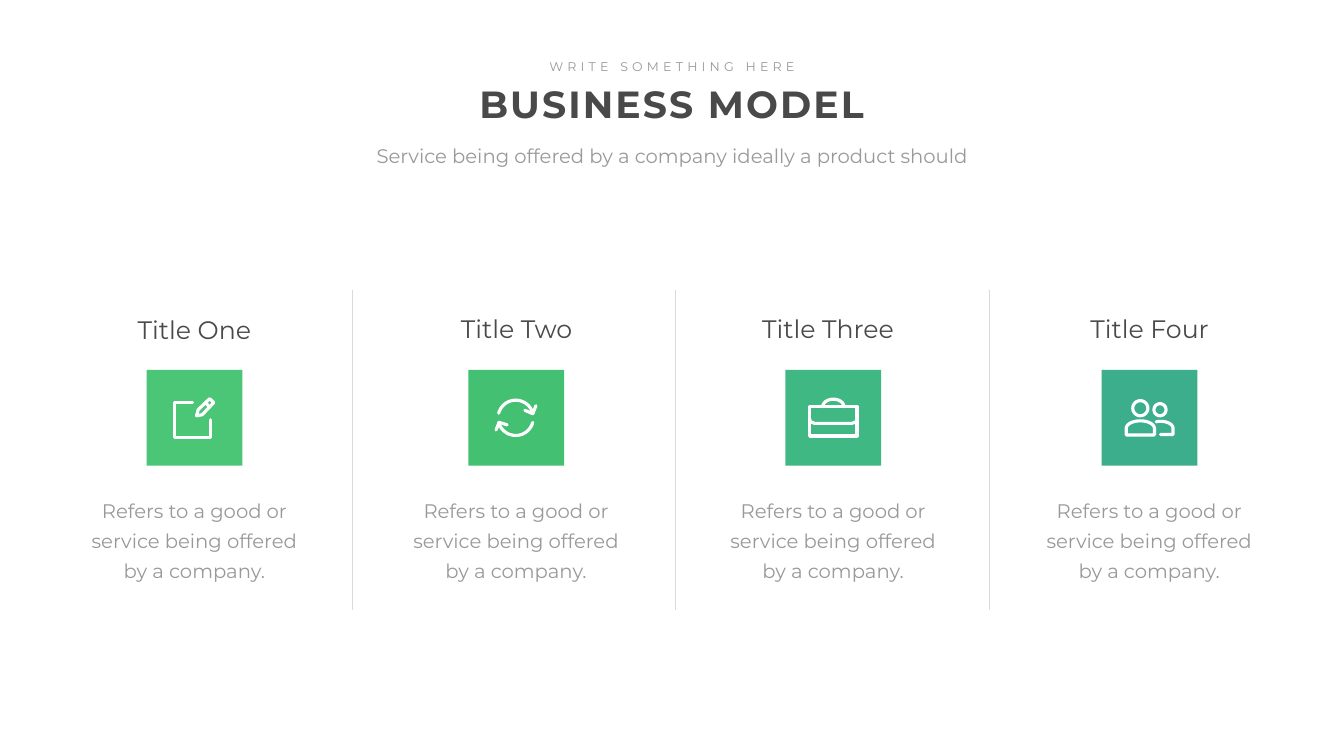
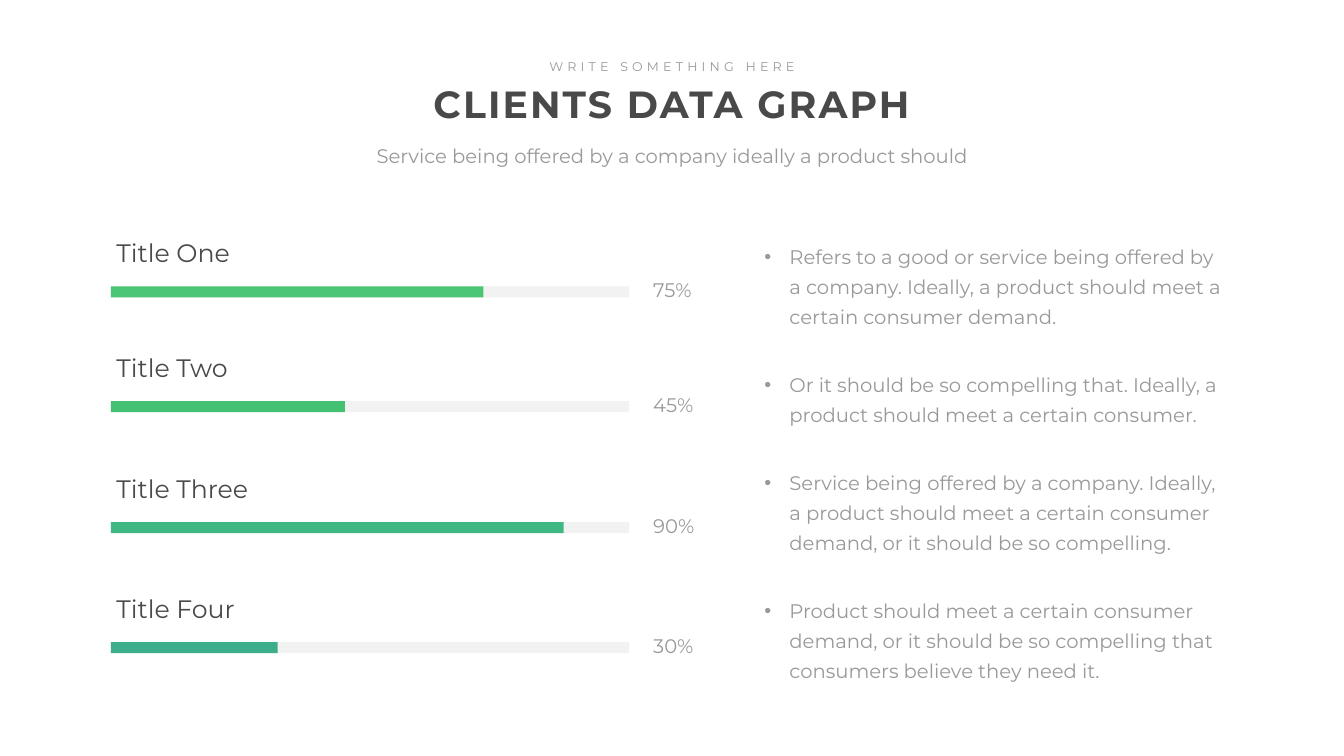
from math import cos, radians, sin

from lxml.etree import SubElement
from pptx import Presentation
from pptx.dml.color import RGBColor
from pptx.enum.shapes import MSO_CONNECTOR, MSO_SHAPE
from pptx.enum.text import MSO_ANCHOR, MSO_AUTO_SIZE, PP_ALIGN
from pptx.oxml.ns import qn
from pptx.util import Pt

PX = 9144  # 100 px to the inch
FONT = "Montserrat"
COLORS = {
    "dark": "494949", "grey": "999999", "rule": "D9D9D9", "track": "F2F2F2", "white": "FFFFFF",
    "green 1": "4BC676", "green 2": "43C072", "green 3": "40B884", "green 4": "3CAE8C",
}
GREENS = ["green 1", "green 2", "green 3", "green 4"]
NAMES = ["Title One", "Title Two", "Title Three", "Title Four"]


def write(box, frame, lines, size, color, align=PP_ALIGN.LEFT, bold=False, tracking=0,
          roomy=False, bullets=False, wrap=True):
    """Place a text shape and fill it with evenly formatted paragraphs."""
    box.left, box.top, box.width, box.height = [value * PX for value in frame]
    text = box.text_frame
    text.text = "\n".join(lines)
    text.word_wrap = wrap
    text.auto_size = MSO_AUTO_SIZE.SHAPE_TO_FIT_TEXT
    text.vertical_anchor = MSO_ANCHOR.TOP
    text.margin_left = text.margin_right = (24 if roomy else 10) * PX
    text.margin_top = text.margin_bottom = (12 if roomy else 5) * PX
    for number, para in enumerate(text.paragraphs):
        if bullets:
            properties = para._p.get_or_add_pPr()
            properties.set("marL", str(50 * PX))
            properties.set("indent", str(-50 * PX))
            SubElement(properties, qn("a:buChar")).set("char", "•")
        para.alignment = align
        para.space_before = Pt(54 if number else 0)
        para.line_spacing = Pt(43) if roomy else 1.0
        para.font.name = FONT
        para.font.size = Pt(size)
        para.font.bold = bold
        para.font.color.rgb = RGBColor.from_string(COLORS[color])
        if tracking:
            for span in para.runs:
                span._r.get_or_add_rPr().set("spc", str(tracking * 100))


def arc(center_x, center_y, radius_x, radius_y, start, end):
    """Points along an elliptical arc, clockwise, angles in degrees."""
    angles = [radians(start + (end - start) * step / 24) for step in range(25)]
    return [(center_x + radius_x * cos(a), center_y + radius_y * sin(a)) for a in angles]


deck = Presentation()
deck.slide_width, deck.slide_height = 2666 * PX, 1500 * PX
model_slide = deck.slides.add_slide(deck.slide_layouts[5])
graph_slide = deck.slides.add_slide(deck.slide_layouts[1])

# Shared heading
for slide, heading in [(model_slide, "BUSINESS MODEL"), (graph_slide, "CLIENTS DATA GRAPH")]:
    write(slide.shapes.title, (728, 155, 1209, 101), [heading], 54, "dark",
          PP_ALIGN.CENTER, bold=True, tracking=3)
    write(slide.shapes.add_textbox(0, 0, 0, 0), (1074, 112, 518, 40), ["WRITE SOMETHING HERE"],
          18, "grey", PP_ALIGN.CENTER, tracking=6, wrap=False)
    write(slide.shapes.add_textbox(0, 0, 0, 0), (676, 260, 1314, 79),
          ["Service being offered by a company ideally a product should"],
          28, "grey", PP_ALIGN.CENTER, roomy=True)

# Icon strokes: points from the tile corner, and whether the stroke closes
edit_icon = [
    ([(91, 64), (56, 64), (56, 134), (126, 134), (126, 99)], False),
    ([(125, 57), (133, 65), (110, 89), (99, 91), (102, 79)], True),
    ([(119, 67), (123, 72)], False),
]
cycle_icon = [
    (arc(94, 95, 35, 35, 195, 345), False),
    ([(112, 80), (128, 87), (134, 71)], False),
    (arc(94, 95, 35, 35, 15, 165), False),
    ([(55, 119), (61, 104), (77, 109)], False),
]
briefcase_icon = [
    ([(48, 73), (142, 73), (142, 131), (48, 131)], True),
    ([(48, 97), (50, 103), (58, 106), (132, 106), (140, 103), (142, 97)], False),
    (arc(95, 73, 21, 15, 180, 360), False),
]
people_icon = [
    (arc(77, 76, 15, 15, 0, 360), True),
    (arc(77, 116, 28, 15, 180, 360) + [(105, 129), (49, 129)], True),
    (arc(116, 79, 12, 12, 0, 360), True),
    (arc(117, 116, 25, 14, 250, 360) + [(142, 128), (117, 128)], False),
]

# Business model: four columns
tile_top, tile_size = 734, 190
columns = [
    (291, (181, 619, 409, 71), edit_icon),
    (929, (820, 616, 409, 71), cycle_icon),
    (1558, (1429, 616, 427, 71), briefcase_icon),
    (2185, (2076, 616, 409, 71), people_icon),
]
shapes = model_slide.shapes
for name, green, (tile_left, title_frame, icon) in zip(NAMES, GREENS, columns):
    write(shapes.add_textbox(0, 0, 0, 0), title_frame, [name], 36, "dark", PP_ALIGN.CENTER)
    write(shapes.add_textbox(0, 0, 0, 0), (tile_left - 150, 964, 489, 200),
          ["Refers to a good or service being offered by a company."],
          28, "grey", PP_ALIGN.CENTER, roomy=True)
    tile = shapes.add_shape(MSO_SHAPE.RECTANGLE, tile_left * PX, tile_top * PX,
                            tile_size * PX, tile_size * PX)
    tile.shadow.inherit = False
    tile.fill.solid()
    tile.fill.fore_color.rgb = RGBColor.from_string(COLORS[green])
    tile.line.fill.background()

    group = shapes.add_group_shape()
    for points, closed in icon:
        scaled = [((tile_left + x) * PX, (tile_top + y) * PX) for x, y in points]
        builder = group.shapes.build_freeform(*scaled[0])
        builder.add_line_segments(scaled[1:], close=closed)
        stroke = builder.convert_to_shape()
        stroke.shadow.inherit = False
        stroke.fill.background()
        stroke.line.width = Pt(4.5)
        stroke.line.color.rgb = RGBColor.from_string(COLORS["white"])
        outline = stroke.line._get_or_add_ln()
        outline.set("cap", "rnd")
        SubElement(outline, qn("a:round"))

# Column dividers
for x in (699, 1339, 1963):
    divider = shapes.add_connector(MSO_CONNECTOR.STRAIGHT, x * PX, 576 * PX, x * PX, 1210 * PX)
    divider.line.width = Pt(0.5)
    divider.line.color.rgb = RGBColor.from_string(COLORS["rule"])
    SubElement(divider._element.spPr, qn("a:effectLst"))

# Clients data graph: progress bars
bar_left, track_width, bar_height = 220, 1028, 22
bars = [(568, 739, "75%"), (796, 464, "45%"), (1036, 898, "90%"), (1274, 331, "30%")]
shapes = graph_slide.shapes
for name, green, (bar_top, bar_width, share) in zip(NAMES, GREENS, bars):
    for width, color in [(track_width, "track"), (bar_width, green)]:
        bar = shapes.add_shape(MSO_SHAPE.RECTANGLE, bar_left * PX, bar_top * PX,
                               width * PX, bar_height * PX)
        bar.shadow.inherit = False
        bar.fill.solid()
        bar.fill.fore_color.rgb = RGBColor.from_string(COLORS[color])
        bar.line.fill.background()
    write(shapes.add_textbox(0, 0, 0, 0), (221, bar_top - 102, 427, 71), [name], 36, "dark")
    write(shapes.add_textbox(0, 0, 0, 0), (1286, bar_top - 22, 194, 57), [share], 28, "grey")

# Clients data graph: bullet list
write(graph_slide.placeholders[1], (1492, 461, 954, 919), [
    "Refers to a good or service being offered by a company. Ideally, a product should meet a "
    "certain consumer demand.",
    "Or it should be so compelling that. Ideally, a product should meet a certain consumer.",
    "Service being offered by a company. Ideally, a product should meet a certain consumer "
    "demand, or it should be so compelling.",
    "Product should meet a certain consumer demand, or it should be so compelling that "
    "consumers believe they need it.",
], 28, "grey", roomy=True, bullets=True)

deck.save("out.pptx")
